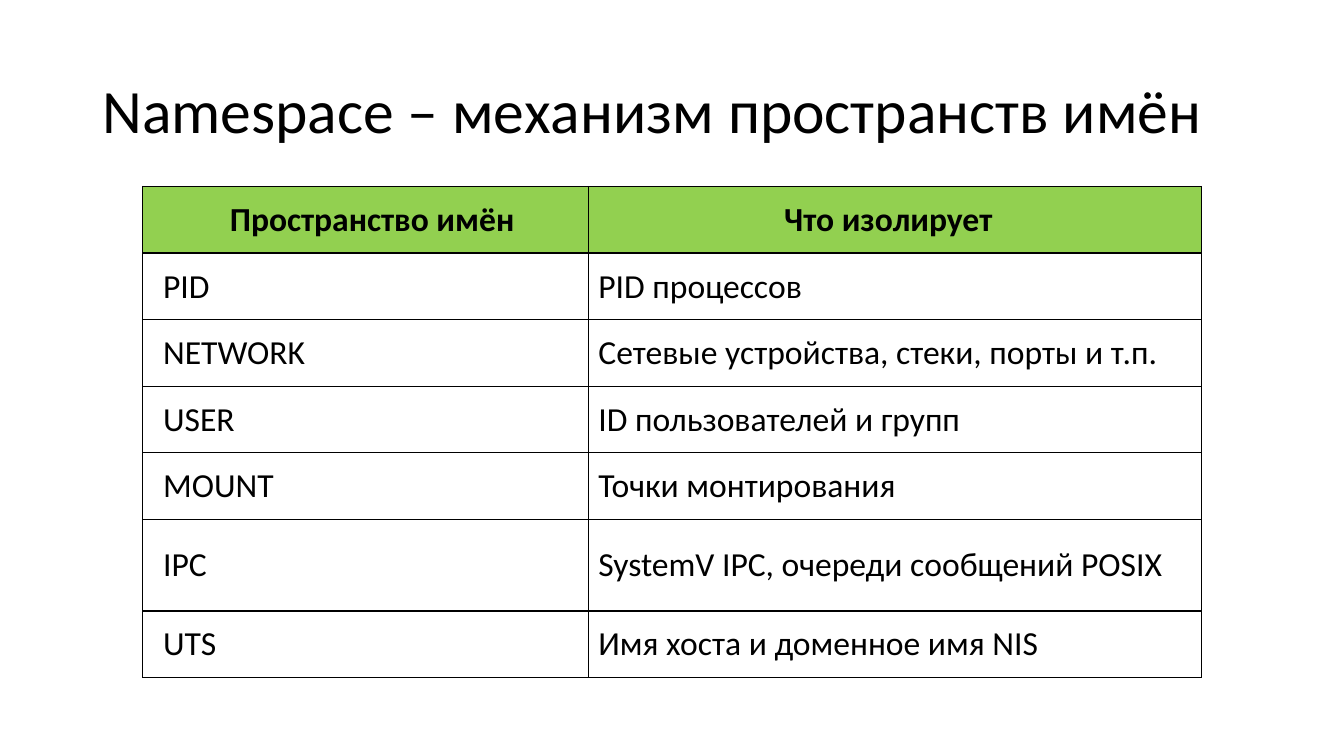
import pptx
import pptx.dml.color
import pptx.enum.text
import pptx.oxml
import pptx.oxml.ns
import pptx.util
from pptx.util import Cm

TITLE = "Namespace – механизм пространств имён"
ROWS = [
    ("Пространство имён", "Что изолирует"),
    ("PID", "PID процессов"),
    ("NETWORK", "Сетевые устройства, стеки, порты и т.п."),
    ("USER", "ID пользователей и групп"),
    ("MOUNT", "Точки монтирования"),
    ("IPC", "SystemV IPC, очереди сообщений POSIX"),
    ("UTS", "Имя хоста и доменное имя NIS"),
]
COLORS = {"text": "000000", "border": "000000", "header": "92D050"}
FONT = "Calibri"
COLUMN_WIDTHS = (11.23, 15.44)
ROW_HEIGHT = 1.52
TALL_ROWS = {"IPC": 2.31}
TABLE_HEIGHT = 12.47
OUTER_INSET, VERTICAL_INSET = 0.51, 0.33
HEADER_INSET, BODY_INSET = 0.18, 0.25


def color(name):
    return pptx.dml.color.RGBColor.from_string(COLORS[name])


def format_text(para, size, bold=False):
    for span in para.runs:
        span.font.name = FONT
        span.font.size = pptx.util.Pt(size)
        span.font.bold = bold
        span.font.color.rgb = color("text")


def add_borders(cell):
    properties = cell._tc.get_or_add_tcPr()
    for side in ("lnL", "lnR", "lnT", "lnB"):
        properties.append(pptx.oxml.parse_xml(
            f'<a:{side} {pptx.oxml.ns.nsdecls("a")} w="12700"><a:solidFill>'
            f'<a:srgbClr val="{COLORS["border"]}"/></a:solidFill></a:{side}>'))


def add_title(page):
    box = page.shapes.add_textbox(Cm(2.33), Cm(1.01), Cm(29.21), Cm(3.68))
    frame = box.text_frame
    frame.word_wrap = True
    frame.vertical_anchor = pptx.enum.text.MSO_ANCHOR.MIDDLE
    frame.text = TITLE
    frame.paragraphs[0].line_spacing = 0.9
    format_text(frame.paragraphs[0], 44)


def fill_cell(cell, text, is_header, is_left):
    inner = HEADER_INSET if is_header else BODY_INSET
    cell.margin_left = Cm(OUTER_INSET if is_left else inner)
    cell.margin_right = Cm(inner if is_left else OUTER_INSET)
    cell.margin_top = cell.margin_bottom = Cm(VERTICAL_INSET)
    cell.vertical_anchor = pptx.enum.text.MSO_ANCHOR.MIDDLE
    add_borders(cell)
    cell.text_frame.text = text
    para = cell.text_frame.paragraphs[0]
    format_text(para, 24, bold=is_header)
    if is_header:
        para.alignment = pptx.enum.text.PP_ALIGN.CENTER
        cell.fill.solid()
        cell.fill.fore_color.rgb = color("header")
    else:
        cell.fill.background()


def add_namespace_table(page):
    holder = page.shapes.add_table(
        len(ROWS), len(COLUMN_WIDTHS), Cm(3.6), Cm(4.7),
        Cm(sum(COLUMN_WIDTHS)), Cm(TABLE_HEIGHT))
    table = holder.table
    table.first_row = table.horz_banding = False
    for column, width in zip(table.columns, COLUMN_WIDTHS):
        column.width = Cm(width)
    for r, texts in enumerate(ROWS):
        table.rows[r].height = Cm(TALL_ROWS.get(texts[0], ROW_HEIGHT))
        for c, text in enumerate(texts):
            fill_cell(table.cell(r, c), text, r == 0, c == 0)
    holder.height = Cm(TABLE_HEIGHT)


def main():
    """Build the slide about namespaces and save it."""
    deck = pptx.Presentation()
    deck.slide_width, deck.slide_height = Cm(33.87), Cm(19.05)
    page = deck.slides.add_slide(deck.slide_layouts[6])
    add_title(page)
    add_namespace_table(page)
    deck.save("out.pptx")


if __name__ == "__main__":
    main()
